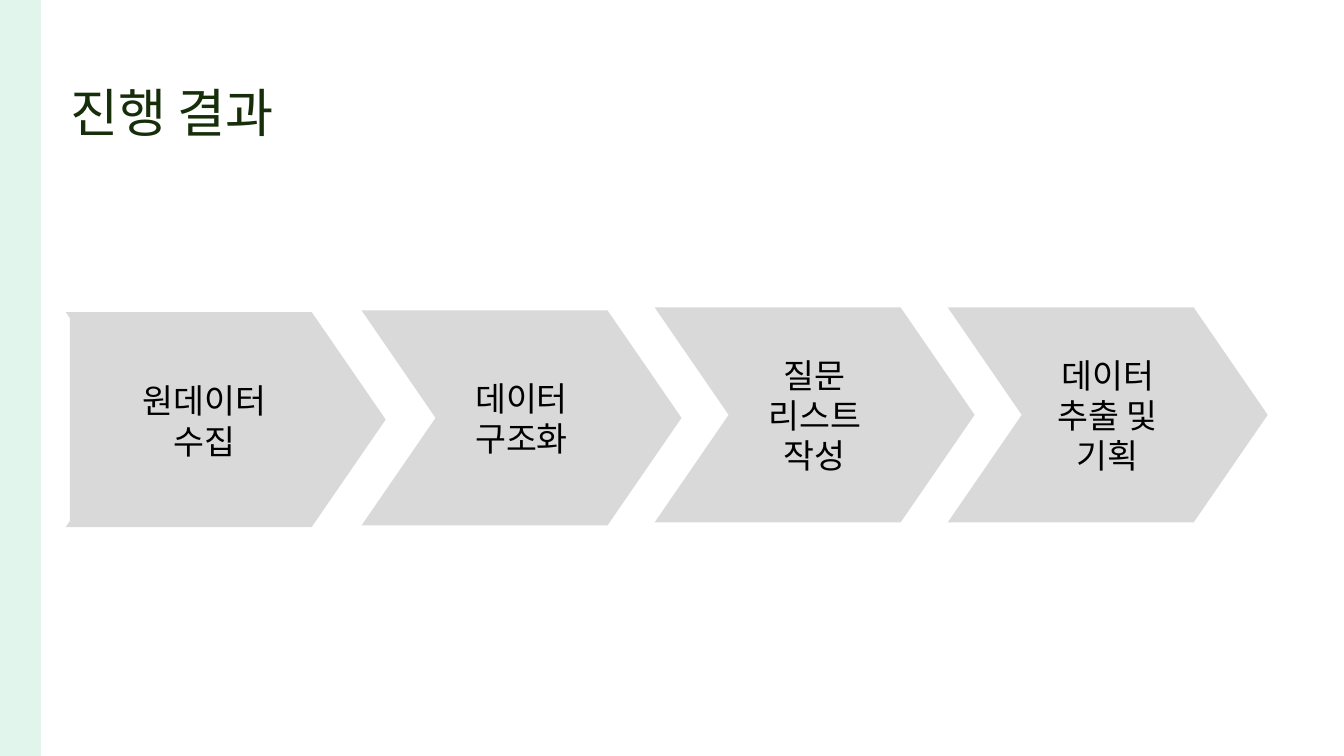
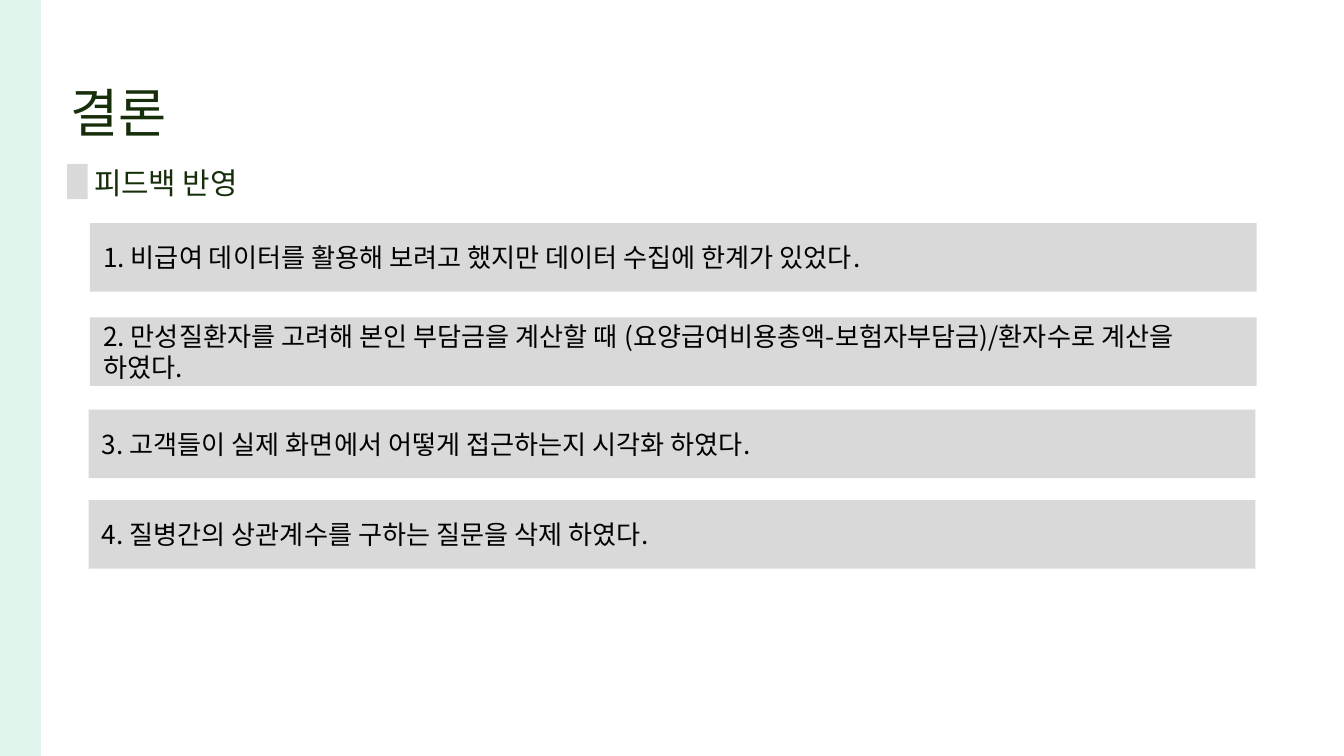
from dataclasses import dataclass

from lxml import etree
from pptx import Presentation
from pptx.dml.color import RGBColor
from pptx.enum.shapes import MSO_SHAPE
from pptx.enum.text import MSO_ANCHOR, PP_ALIGN
from pptx.oxml.ns import qn
from pptx.util import Pt

RECT, CHEVRON = MSO_SHAPE.RECTANGLE, MSO_SHAPE.CHEVRON
LEFT, CENTER = PP_ALIGN.LEFT, PP_ALIGN.CENTER
TOP, MIDDLE = MSO_ANCHOR.TOP, MSO_ANCHOR.MIDDLE


@dataclass(frozen=True)
class Theme:
    font: str = "Noto Sans CJK KR"
    mint: str = "D8F2E6"
    green: str = "162E0A"
    gray: str = "D9D9D9"
    black: str = "000000"
    title: int = 28
    step: int = 18
    head: int = 16
    note: int = 14


THEME = Theme()
WIDE, HIGH = 720, 405
STEP_W, STEP_H, PITCH = 171.4, 115.2, 157
BAR_W, BAR_H = 625, 36.7


def write(shape, text, size, color=THEME.black, align=LEFT, anchor=MIDDLE,
          pad=(7.2, 3.6)):
    frame = shape.text_frame
    frame.word_wrap = True
    frame.vertical_anchor = anchor
    frame.margin_left = frame.margin_right = Pt(pad[0])
    frame.margin_top = frame.margin_bottom = Pt(pad[1])
    for i, line in enumerate(text.split("\n")):
        para = frame.add_paragraph() if i else frame.paragraphs[0]
        para.alignment = align
        run = para.add_run()
        run.text = line
        run.font.size = Pt(size)
        run.font.color.rgb = RGBColor.from_string(color)
        run.font.name = THEME.font
        etree.SubElement(run._r.get_or_add_rPr(), qn("a:ea"), typeface=THEME.font)


def add_block(slide, kind, left, top, width, height, color=THEME.gray):
    shape = slide.shapes.add_shape(kind, Pt(left), Pt(top), Pt(width), Pt(height))
    shape.shadow.inherit = False
    shape.fill.solid()
    shape.fill.fore_color.rgb = RGBColor.from_string(color)
    shape.line.fill.background()
    return shape


def add_label(slide, left, top, width, height, text, size, **style):
    box = slide.shapes.add_textbox(Pt(left), Pt(top), Pt(width), Pt(height))
    write(box, text, size, **style)


def add_step(slide, left, top, text=None):
    shape = add_block(slide, CHEVRON, left, top, STEP_W, STEP_H)
    shape.adjustments[0] = 0.344
    if text:
        write(shape, text, THEME.step, align=CENTER)


def add_bar(slide, left, top, text):
    write(add_block(slide, RECT, left, top, BAR_W, BAR_H), text, THEME.note)


def add_page(deck, text, width):
    slide = deck.slides.add_slide(deck.slide_layouts[5])
    band = add_block(slide, RECT, 0, 0, 21.9, HIGH, THEME.mint)
    tint = band._element.spPr.find(qn("a:solidFill"))[0]
    etree.SubElement(tint, qn("a:alpha"), val="75000")
    title = slide.shapes.title
    title.left, title.top = Pt(30.4), Pt(33.4)
    title.width, title.height = Pt(width), Pt(53)
    write(title, text, THEME.title, color=THEME.green, pad=(7.2, 7.2))
    return slide


def add_flow(deck):
    slide = add_page(deck, "진행 결과", 294.5)
    steps = [
        (166.3, "데이터\n구조화"),
        (164.7, "질문 리스트\n작성"),
        (164.7, "데이터 추출 및\n기획"),
    ]
    for i, (top, text) in enumerate(steps):
        add_step(slide, 193.7 + i * PITCH, top, text)
    add_step(slide, 35.2, 167.2)
    add_block(slide, RECT, 37.4, 167.2, 57, 114.6)
    add_label(slide, 69, 200.2, 81.4, 51, "원데이터\n수집", THEME.step,
              align=CENTER, anchor=TOP)


def add_close(deck):
    slide = add_page(deck, "결론", 574)
    add_block(slide, RECT, 36, 87.8, 11, 19)
    add_label(slide, 43.4, 84.2, 115.2, 27.4, "피드백 반영", THEME.head,
              color=THEME.green, pad=(7.2, 7.2))
    notes = [
        (48.2, 119.5, "1. 비급여 데이터를 활용해 보려고 했지만 데이터 수집에 한계가 있었다."),
        (48.2, 170, "2. 만성질환자를 고려해 본인 부담금을 계산할 때 "
                    "(요양급여비용총액-보험자부담금)/환자수로 계산을 하였다."),
        (47.5, 219.4, "3. 고객들이 실제 화면에서 어떻게 접근하는지 시각화 하였다."),
        (47.5, 267.9, "4. 질병간의 상관계수를 구하는 질문을 삭제 하였다."),
    ]
    for left, top, text in notes:
        add_bar(slide, left, top, text)


def main():
    deck = Presentation()
    deck.slide_width, deck.slide_height = Pt(WIDE), Pt(HIGH)
    add_flow(deck)
    add_close(deck)
    deck.save("out.pptx")


if __name__ == "__main__":
    main()
